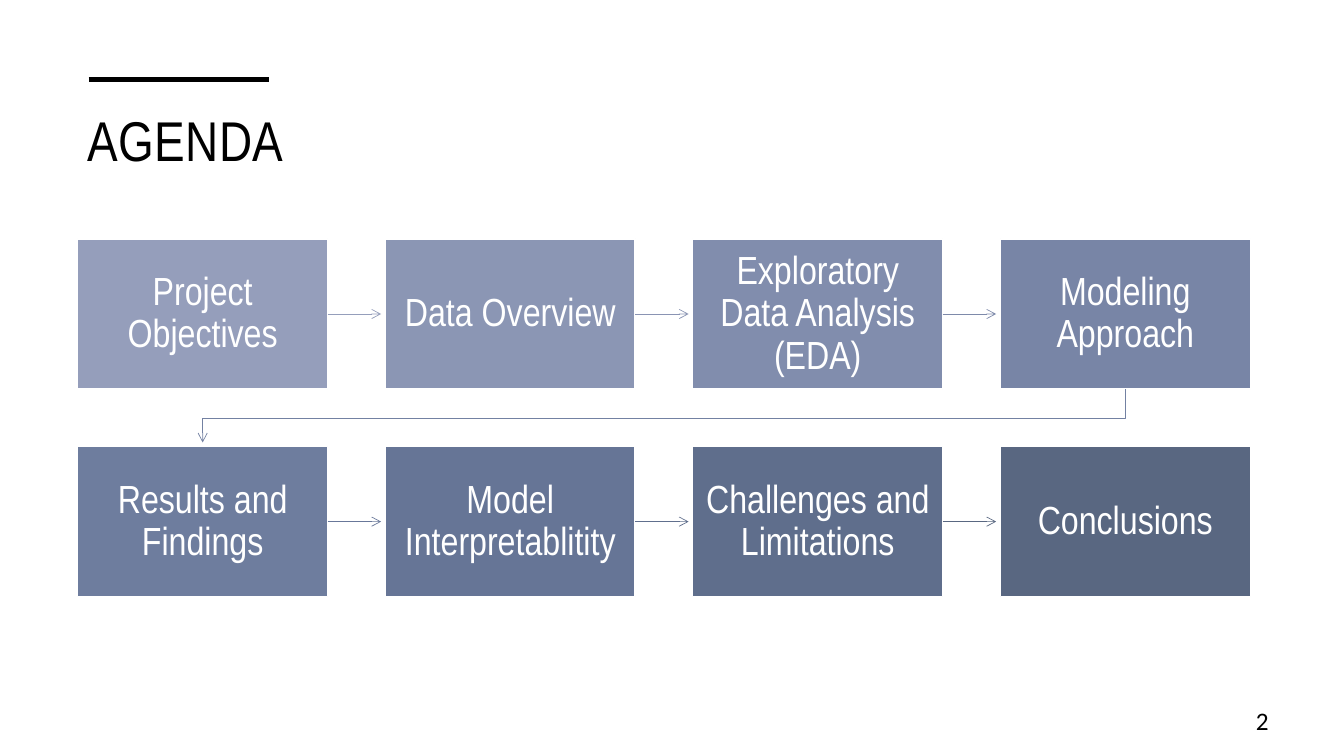
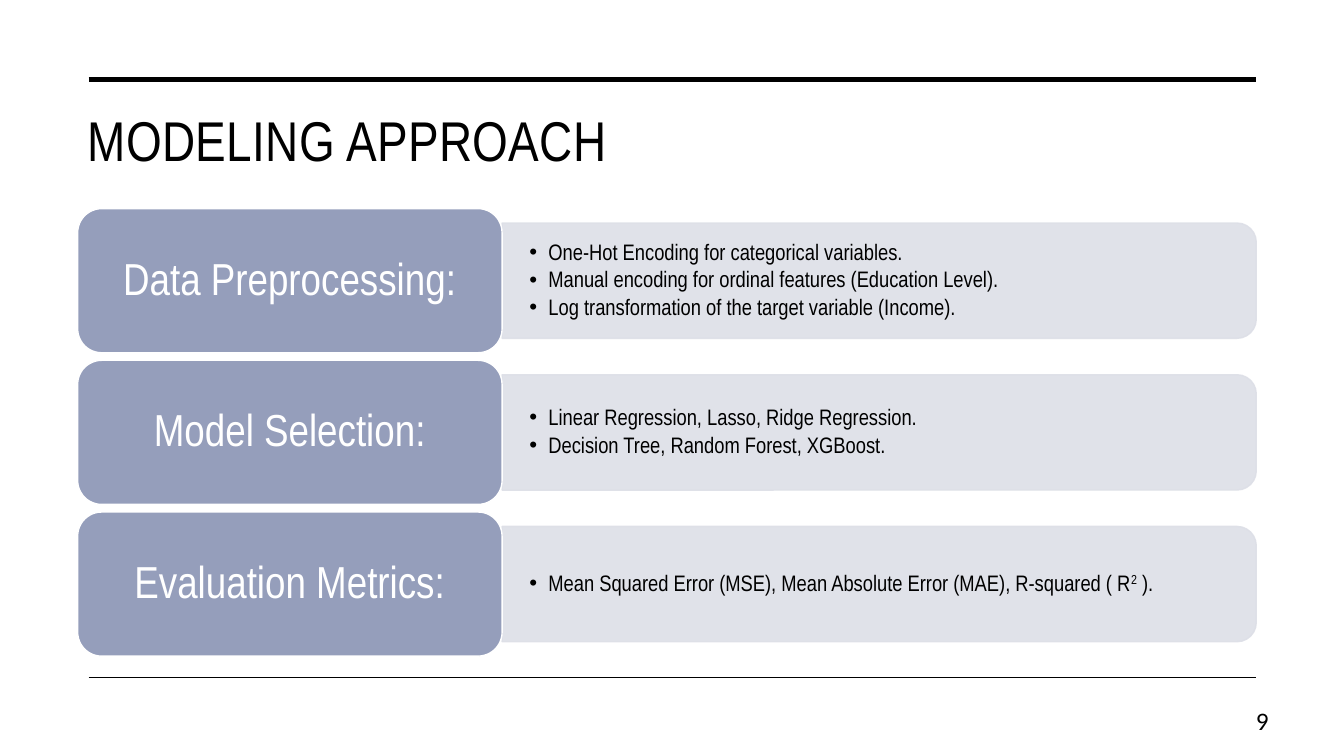
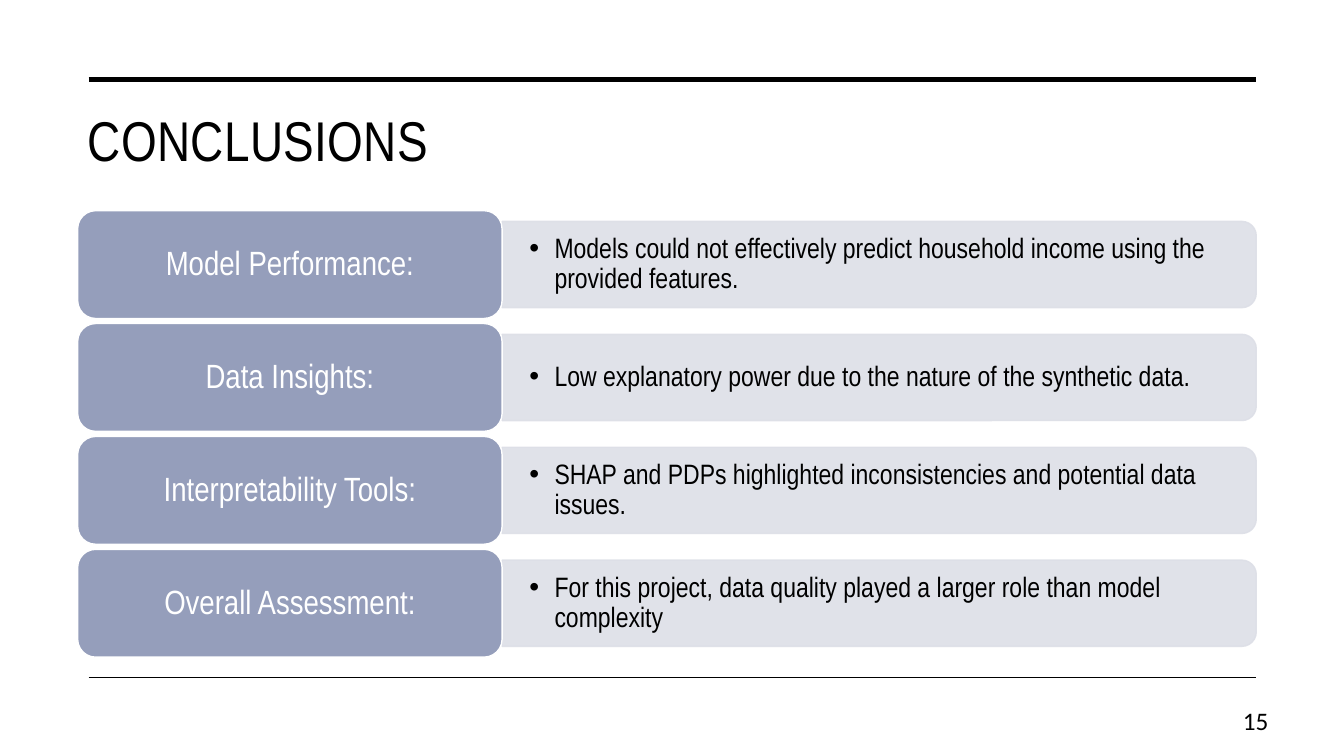
from dataclasses import dataclass

import pptx
import pptx.dml.color
import pptx.enum.dml
import pptx.enum.shapes
import pptx.enum.text
import pptx.oxml.ns
import pptx.util
from lxml import etree

Inches = pptx.util.Inches
Pt = pptx.util.Pt
SHAPE = pptx.enum.shapes.MSO_SHAPE
ALIGN = pptx.enum.text.PP_ALIGN
ANCHOR = pptx.enum.text.MSO_ANCHOR
qn = pptx.oxml.ns.qn


@dataclass(frozen=True)
class Theme:
    black: str = "000000"
    white: str = "FFFFFF"
    label: str = "959EBB"
    panel: str = "DDDFE7"
    elbow: str = "7381A2"
    steps: tuple = ("959EBB", "8B96B4", "818DAD", "7885A6",
                    "6E7D9E", "667596", "5F6E8C", "596781")
    arrows: tuple = ("959EBB", "8A94B3", "7E8AAA", "7381A2",
                     "687799", "606F8D", "596781")
    font: str = "Arial Narrow"
    number_font: str = "Calibri"
    title_size: int = 40
    step_size: int = 28
    number_size: int = 18


THEME = Theme()
LEFT, RIGHT = 0.77, 12.46
RULE_LEFT = 0.88


def rgb(code):
    return pptx.dml.color.RGBColor.from_string(code)


def write(frame, *paragraphs, size, color=THEME.black, font=THEME.font, align=ALIGN.LEFT,
          anchor=ANCHOR.MIDDLE, inset=(0.1, 0.05), line_spacing=None, space_after=0,
          bullet_indent=0, tracking=0):
    """Fill a text frame; in a tuple paragraph every second span is superscript."""
    frame.word_wrap = True
    frame.auto_size = pptx.enum.text.MSO_AUTO_SIZE.NONE
    frame.vertical_anchor = anchor
    frame.margin_left = frame.margin_right = Inches(inset[0])
    frame.margin_top = frame.margin_bottom = Inches(inset[1])
    for index, content in enumerate(paragraphs):
        para = frame.add_paragraph() if index else frame.paragraphs[0]
        para.alignment = align
        para.space_before = Pt(0)
        para.space_after = Pt(space_after)
        if line_spacing:
            para.line_spacing = line_spacing
        if bullet_indent:
            properties = para._p.get_or_add_pPr()
            properties.set("marL", str(Inches(bullet_indent)))
            properties.set("indent", str(-Inches(bullet_indent)))
            etree.SubElement(properties, qn("a:buFont")).set("typeface", "Arial")
            etree.SubElement(properties, qn("a:buChar")).set("char", "•")
        spans = (content,) if isinstance(content, str) else content
        for position, text in enumerate(spans):
            span = para.add_run()
            span.text = text
            span.font.name = font
            span.font.size = Pt(size)
            span.font.color.rgb = rgb(color)
            if tracking:
                span.font._element.set("spc", str(tracking))
            if position % 2:
                span.font._element.set("baseline", "30000")


class Slides:
    """Holds the deck, its style and the page being drawn."""

    def __init__(self, theme):
        self.theme = theme
        self.deck = pptx.Presentation()
        self.deck.slide_width = Inches(13.33)
        self.deck.slide_height = Inches(7.5)
        self.page = None

    def start(self, title, number, top_rule_end=RIGHT, bottom_rule=True):
        theme = self.theme
        self.page = self.deck.slides.add_slide(self.deck.slide_layouts[5])
        self.line((RULE_LEFT, 0.79), (top_rule_end, 0.79), theme.black, 3.5)
        if bottom_rule:
            self.line((RULE_LEFT, 6.72), (RIGHT, 6.72), theme.black, 1)
        heading = self.page.shapes.title
        heading.left, heading.top = Inches(LEFT), Inches(1)
        heading.width, heading.height = Inches(RIGHT - LEFT), Inches(1)
        write(heading.text_frame, title, size=theme.title_size, anchor=ANCHOR.TOP, tracking=30)
        self.text(11.94, 6.95, 0.74, 0.4, str(number), size=theme.number_size,
                  font=theme.number_font, align=ALIGN.RIGHT)

    def text(self, left, top, width, height, *paragraphs, **style):
        box = self.page.shapes.add_textbox(Inches(left), Inches(top), Inches(width), Inches(height))
        write(box.text_frame, *paragraphs, **style)

    def shape(self, kind, left, top, width, height, fill, outline):
        shape = self.page.shapes.add_shape(
            kind, Inches(left), Inches(top), Inches(width), Inches(height))
        shape.shadow.inherit = False
        shape.fill.solid()
        shape.fill.fore_color.rgb = rgb(fill)
        shape.line.color.rgb = rgb(outline)
        shape.line.width = Pt(1)
        return shape

    def label(self, kind, left, top, width, height, text, fill, size, inset):
        box = self.shape(kind, left, top, width, height, fill, self.theme.white)
        write(box.text_frame, text, size=size, color=self.theme.white,
              align=ALIGN.CENTER, inset=inset, line_spacing=0.9)
        return box

    def stroke(self, shape, color, width, arrow):
        shape.line.color.rgb = rgb(color)
        shape.line.width = Pt(width)
        if arrow:
            etree.SubElement(shape.line._get_or_add_ln(), qn("a:tailEnd")).set("type", "arrow")

    def line(self, start, end, color, width, arrow=False, source=None):
        """Draw a straight line; source is the box whose right side it leaves."""
        line = self.page.shapes.add_connector(
            pptx.enum.shapes.MSO_CONNECTOR.STRAIGHT,
            Inches(start[0]), Inches(start[1]), Inches(end[0]), Inches(end[1]))
        if source is not None:
            line.begin_connect(source, 3)
        self.stroke(line, color, width, arrow)
        etree.SubElement(line._element.spPr, qn("a:effectLst"))

    def bent_arrow(self, points, color, width):
        corners = [(Inches(x), Inches(y)) for x, y in points]
        builder = self.page.shapes.build_freeform(*corners[0], scale=1.0)
        builder.add_line_segments(corners[1:], close=False)
        path = builder.convert_to_shape()
        path.shadow.inherit = False
        path.fill.background()
        self.stroke(path, color, width, arrow=True)

    def panel(self, left, middle, width, height):
        """Draw a translucent panel rounded on its right side."""
        panel = self.shape(SHAPE.ROUND_2_SAME_RECTANGLE,
                           left + (width - height) / 2, middle - width / 2, height, width,
                           self.theme.panel, self.theme.panel)
        panel.rotation = 90
        for color in panel._element.spPr.iter(qn("a:srgbClr")):
            etree.SubElement(color, qn("a:alpha")).set("val", "90000")

    def process(self, names, top=2.37, columns=4):
        """Lay the steps out row by row and link them with arrows."""
        width, height, pitch_x, pitch_y = 2.48, 1.49, 3.05, 2.06
        reach = 0.53
        for index, name in enumerate(names):
            row, column = divmod(index, columns)
            x, y = LEFT + column * pitch_x, top + row * pitch_y
            box = self.label(SHAPE.RECTANGLE, x, y, width, height, name,
                             self.theme.steps[index], self.theme.step_size, (0.12, 0.13))
            if index == len(names) - 1:
                break
            if column < columns - 1:
                middle = y + height / 2
                self.line((x + width, middle), (x + width + reach, middle),
                          self.theme.arrows[index], 0.5, arrow=True, source=box)
            else:
                bottom, center, first = y + height, x + width / 2, LEFT + width / 2
                turn = bottom + 0.29
                self.bent_arrow([(center, bottom), (center, turn), (first, turn),
                                 (first, bottom + reach)], self.theme.elbow, 0.5)

    def rows(self, content, top, height, pitch, label_size, text_size, indent):
        """Stack labels, each with a panel of bullets at its right."""
        label_width = 4.21
        panel_left = LEFT + label_width
        panel_width = RIGHT - panel_left
        for index, (name, bullets) in enumerate(content):
            y = top + index * pitch
            self.panel(panel_left, y + height / 2, panel_width, 0.8 * height)
            self.text(panel_left, y, panel_width - 0.04, height, *bullets, size=text_size,
                      inset=(0.27, 0.14), line_spacing=0.9,
                      space_after=round(0.17 * text_size, 1), bullet_indent=indent)
            self.label(SHAPE.ROUNDED_RECTANGLE, LEFT, y, label_width, height, name,
                       self.theme.label, label_size, (0.2, 0.14))


def main():
    slides = Slides(THEME)

    slides.start("AGENDA", 2, top_rule_end=2.67, bottom_rule=False)
    slides.process(["Project Objectives", "Data Overview", "Exploratory Data Analysis (EDA)",
                    "Modeling Approach", "Results and Findings", "Model Interpretablitity",
                    "Challenges and Limitations", "Conclusions"])

    slides.start("MODELING APPROACH", 9)
    slides.rows([
        ("Data Preprocessing:", ["One-Hot Encoding for categorical variables.",
                                 "Manual encoding for ordinal features (Education Level).",
                                 "Log transformation of the target variable (Income)."]),
        ("Model Selection:", ["Linear Regression, Lasso, Ridge Regression.",
                              "Decision Tree, Random Forest, XGBoost."]),
        ("Evaluation Metrics:", [("Mean Squared Error (MSE), Mean Absolute Error (MAE), "
                                  "R-squared ( R", "2", " ).")]),
    ], top=2.07, height=1.43, pitch=1.505, label_size=32, text_size=16, indent=0.19)

    slides.start("CONCLUSIONS", 15)
    slides.rows([
        ("Model Performance:", ["Models could not effectively predict household income "
                                "using the provided features."]),
        ("Data Insights:", ["Low explanatory power due to the nature of the synthetic data."]),
        ("Interpretability Tools:", ["SHAP and PDPs highlighted inconsistencies and "
                                     "potential data issues."]),
        ("Overall Assessment:", ["For this project, data quality played a larger role "
                                 "than model complexity"]),
    ], top=2.09, height=1.07, pitch=1.12, label_size=24, text_size=20, indent=0.25)

    slides.deck.save("out.pptx")


if __name__ == "__main__":
    main()
